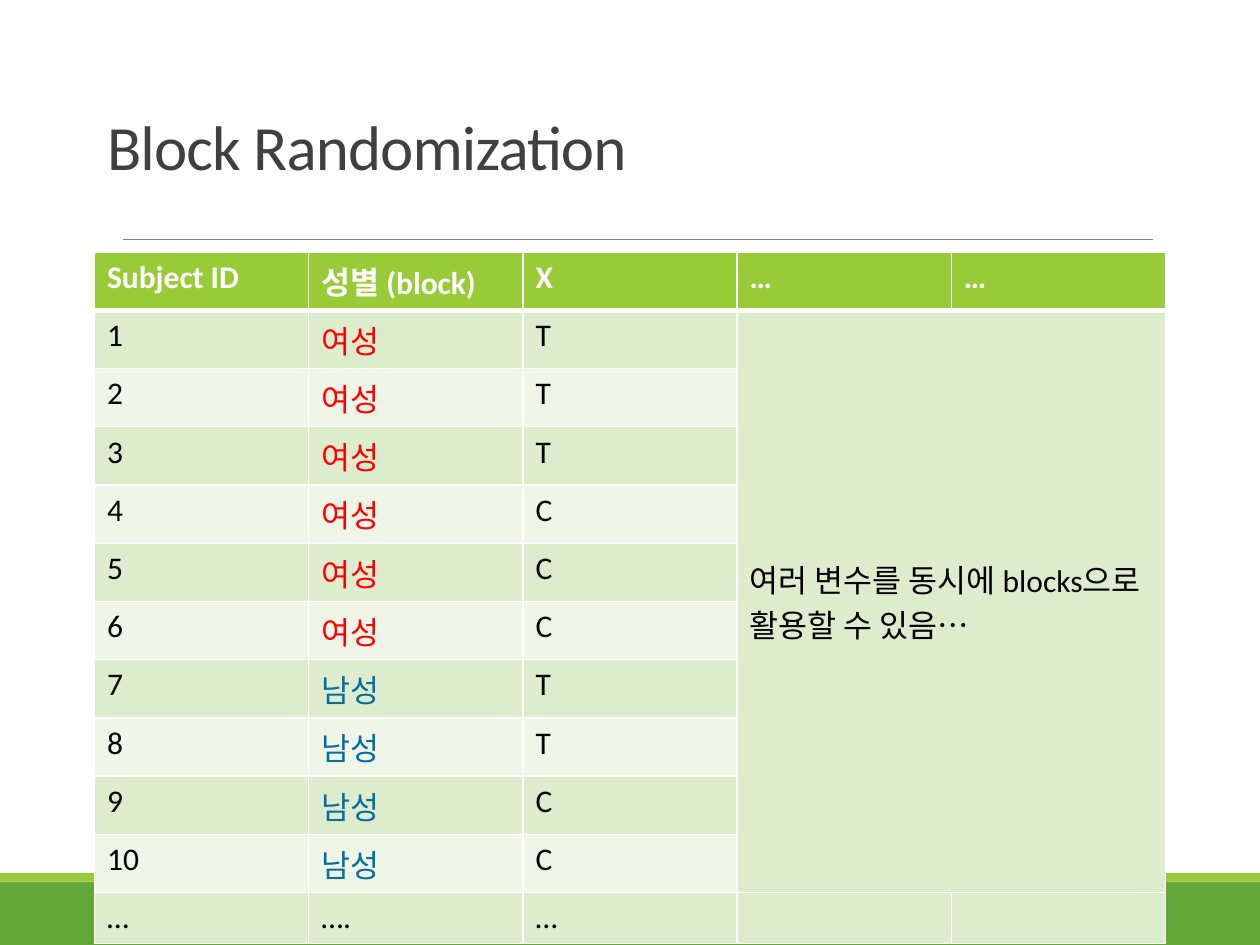
"""Build a slide on block randomization with a subject table."""
from dataclasses import dataclass

from lxml.etree import SubElement
from pptx import Presentation
from pptx.dml.color import RGBColor as Rgb
from pptx.enum.shapes import MSO_CONNECTOR as Connector, MSO_SHAPE as Preset
from pptx.enum.text import MSO_ANCHOR as Anchor, MSO_AUTO_SIZE as AutoSize, PP_ALIGN as Align
from pptx.oxml.ns import qn
from pptx.util import Inches, Pt

WIDTH, HEIGHT = Inches(10), Inches(7.5)
COLORS = {
    "white": "FFFFFF", "black": "000000", "title": "404040", "rule": "808080",
    "base": "63A537", "accent": "99CB38", "odd": "DEECCE", "even": "EFF6E8",
    "female": "FF0000", "male": "056EA0",
}
TITLE_FONT = {"name": "Calibri", "size": Pt(36), "bold": False}
BODY_FONT = {"name": "Calibri", "size": Pt(18), "bold": False}
HEAD_FONT = {**BODY_FONT, "bold": True}
TITLE_FRAME = {"vertical_anchor": Anchor.BOTTOM, "word_wrap": True, "auto_size": AutoSize.NONE}
TITLE_PLACE = {"left": 0.075, "top": 0.071, "width": 0.85, "height": 0.13}


@dataclass
class Band:
    """A full-width strip, placed by shares of the slide height."""
    top: float
    height: float
    color: str


@dataclass
class Group:
    """A block of subjects of one sex and their assignments."""
    label: str
    color: str
    assignments: str


BANDS = [Band(0.933, 0.067, "base"), Band(0.924, 0.009, "accent")]
GROUPS = [Group("여성", "female", "TTTCCC"), Group("남성", "male", "TTCC")]
HEADINGS = ["Subject ID", "성별 (block)", "X", "…", "…"]
ENDING = ["…", "….", "…", "", ""]
REMARK = "여러 변수를 동시에 blocks으로 활용할 수 있음…"


def rgb(name: str) -> Rgb:
    """Look up a named colour."""
    return Rgb.from_string(COLORS[name])


def apply(target, values: dict) -> None:
    """Set each attribute of target from a dict."""
    for name, value in values.items():
        setattr(target, name, value)


def draw_band(page, band: Band) -> None:
    """Draw one footer strip."""
    box = page.shapes.add_shape(
        Preset.RECTANGLE, 0, int(HEIGHT * band.top), WIDTH, int(HEIGHT * band.height))
    box.shadow.inherit = False
    box.fill.solid()
    box.fill.fore_color.rgb = rgb(band.color)
    box.line.fill.background()


def draw_rule(page) -> None:
    """Draw the thin line under the title."""
    level = Inches(1.9)
    rule = page.shapes.add_connector(
        Connector.STRAIGHT, Inches(0.98), level, Inches(9.15), level)
    rule.line.color.rgb = rgb("rule")
    rule.line.width = Pt(0.5)
    SubElement(rule._element.spPr, qn("a:effectLst"))


def write_title(page, text: str) -> None:
    """Place and format the title placeholder."""
    box = page.shapes.title
    for name, share in TITLE_PLACE.items():
        extent = WIDTH if name in ("left", "width") else HEIGHT
        setattr(box, name, int(extent * share))
    apply(box.text_frame, TITLE_FRAME)
    para = box.text_frame.paragraphs[0]
    apply(para, {"alignment": Align.LEFT, "line_spacing": 0.85})
    span = para.add_run()
    span.text = text
    apply(span.font, TITLE_FONT)
    span.font.color.rgb = rgb("title")
    span.font._element.set("spc", "-50")


def draw_borders(cell, row: int) -> None:
    """Give a cell white borders, thick between heading and body."""
    thick = {(0, "lnB"), (1, "lnT")}
    properties = cell._tc.get_or_add_tcPr()
    for side in ("lnL", "lnR", "lnT", "lnB"):
        width = Pt(3 if (row, side) in thick else 1)
        edge = SubElement(properties, qn(f"a:{side}"), w=str(int(width)))
        paint = SubElement(edge, qn("a:solidFill"))
        SubElement(paint, qn("a:srgbClr"), val=COLORS["white"])


def format_cell(cell, row: int, text: str, color: str) -> None:
    """Fill, border and write one cell."""
    draw_borders(cell, row)
    cell.fill.solid()
    cell.fill.fore_color.rgb = rgb("accent" if row == 0 else "odd" if row % 2 else "even")
    para = cell.text_frame.paragraphs[0]
    target = para
    if text:
        target = para.add_run()
        target.text = text
    apply(target.font, BODY_FONT if row else HEAD_FONT)
    target.font.color.rgb = rgb(color)


def draw_table(page) -> None:
    """Draw the subject table with its merged remark."""
    subjects = [(group, mark) for group in GROUPS for mark in group.assignments]
    body = [[str(number), group.label, mark, "", ""]
            for number, (group, mark) in enumerate(subjects, 1)]
    body[0][3] = REMARK
    rows = [HEADINGS, *body, ENDING]
    table = page.shapes.add_table(
        len(rows), len(HEADINGS), Inches(0.75), Inches(2), Inches(8.5), Inches(4.85)).table
    for row, texts in enumerate(rows):
        for column, text in enumerate(texts):
            color = "black" if row else "white"
            if column == 1 and 1 <= row <= len(subjects):
                color = subjects[row - 1][0].color
            format_cell(table.cell(row, column), row, text, color)
    remark = table.cell(1, 3)
    remark.merge(table.cell(len(subjects), 4))
    remark.vertical_anchor = Anchor.MIDDLE


def main() -> None:
    """Assemble and save the deck."""
    deck = Presentation()
    apply(deck, {"slide_width": WIDTH, "slide_height": HEIGHT})
    page = deck.slides.add_slide(deck.slide_layouts.get_by_name("Title Only"))
    for band in BANDS:
        draw_band(page, band)
    draw_rule(page)
    write_title(page, "Block Randomization")
    draw_table(page)
    deck.save("out.pptx")


if __name__ == "__main__":
    main()
